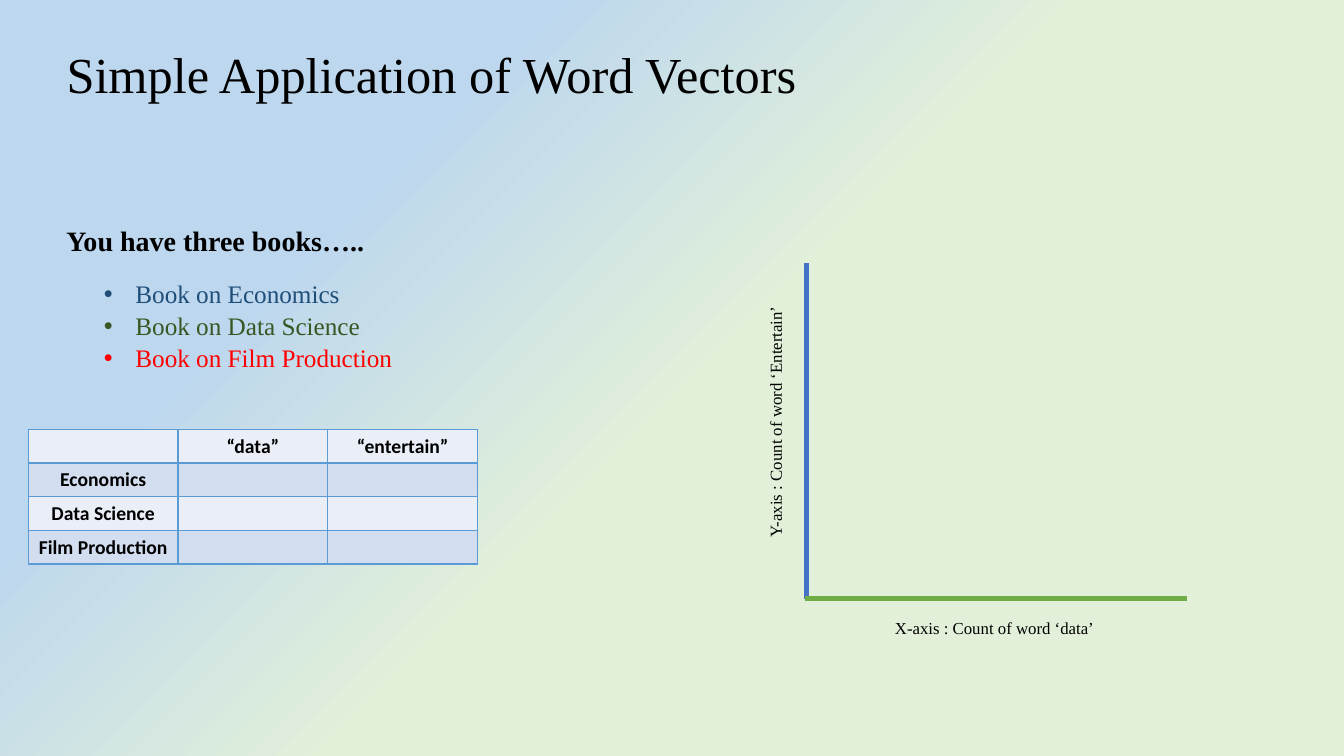
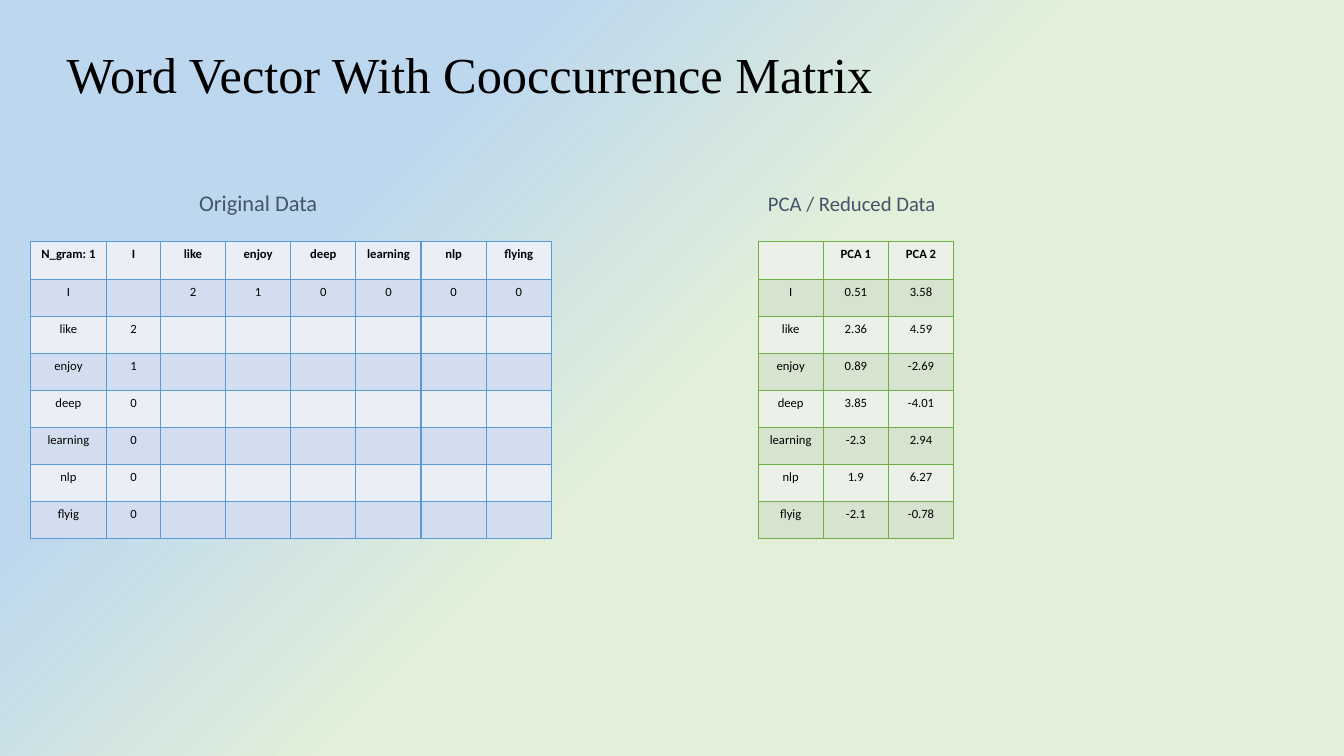
from lxml import etree
from pptx import Presentation, oxml
from pptx.dml.color import RGBColor
from pptx.enum import shapes, text
from pptx.oxml import ns
from pptx.util import Pt

# Shared look
COLORS = {
    "ink": "000000", "caption": "44546A",
    "economics": "1F4E79", "science": "385723", "film": "FF0000",
    "y_axis": "4472C4", "x_axis": "70AD47",
    "sky": "BDD7EE", "leaf": "E2F0D9",
}
BLUE = {"border": "5B9BD5", "bands": ("EAEFF7", "D2DEEF")}
GREEN = {"border": "70AD47", "bands": ("EBF1E9", "D5E3CF")}
BACKGROUND_STOPS = [(48, "leaf"), (74, "sky"), (83, "sky"), (100, "sky")]
SERIF, SANS = "Times New Roman", "Calibri"
TITLE_BOX = (40.3, 2.9, 828, 104.4)

# Content: books
BOOKS_TITLE = "Simple Application of Word Vectors"
BOOKS_LEAD = "You have three books….."
BOOKS = [
    ("Book on Economics", "economics"),
    ("Book on Data Science", "science"),
    ("Book on Film Production", "film"),
]
BOOK_COUNTS = [
    ["", "“data”", "“entertain”"],
    ["Economics", "", ""],
    ["Data Science", "", ""],
    ["Film Production", "", ""],
]
X_LABEL = "X-axis : Count of word ‘data’"
Y_LABEL = "Y-axis : Count of word ‘Entertain’"

# Content: cooccurrence matrix
MATRIX_TITLE = "Word Vector With Cooccurrence Matrix"
WORDS = ["I", "like", "enjoy", "deep", "learning", "nlp", "flyig"]
WORD_HEADS = WORDS[:-1] + ["flying"]
NEIGHBOURS = ["", "2", "1", "0", "0", "0", "0"]
PCA = [
    ("0.51", "3.58"), ("2.36", "4.59"), ("0.89", "-2.69"), ("3.85", "-4.01"),
    ("-2.3", "2.94"), ("1.9", "6.27"), ("-2.1", "-0.78"),
]
# Only the first word's row and column hold counts
COOCCURRENCE = [["N_gram: 1", *WORD_HEADS], ["I", *NEIGHBOURS]] + [
    [word, count] + [""] * (len(WORDS) - 1)
    for word, count in zip(WORDS[1:], NEIGHBOURS[1:])
]
REDUCED = [["", "PCA 1", "PCA 2"]] + [
    [word, *scores] for word, scores in zip(WORDS, PCA)
]


def rgb(name):
    return RGBColor.from_string(COLORS[name])


def place(box, left, top, width, height):
    box.left, box.top, box.width, box.height = map(Pt, (left, top, width, height))


def style(paragraph, size, face, color="ink", bold=False):
    for run in paragraph.runs:
        font = run.font
        font.size, font.name, font.bold = Pt(size), face, bold
        font.color.rgb = rgb(color)


def set_background(master):
    stops = "".join(
        f'<a:gs pos="{pos * 1000}"><a:srgbClr val="{COLORS[name]}"/></a:gs>'
        for pos, name in BACKGROUND_STOPS)
    page = master.element.find(ns.qn("p:cSld"))
    for old in page.findall(ns.qn("p:bg")):
        page.remove(old)
    page.insert(0, oxml.parse_xml(
        f'<p:bg {ns.nsdecls("p", "a")}><p:bgPr><a:gradFill rotWithShape="1">'
        f'<a:gsLst>{stops}</a:gsLst><a:path path="circle">'
        '<a:fillToRect l="100000" t="100000"/></a:path>'
        '<a:tileRect r="-100000" b="-100000"/></a:gradFill>'
        '<a:effectLst/></p:bgPr></p:bg>'))


def add_slide(deck, layout, heading):
    slide = deck.slides.add_slide(deck.slide_layouts[layout])
    title = slide.shapes.title
    place(title, *TITLE_BOX)
    frame = title.text_frame
    frame.text = heading
    frame.auto_size = text.MSO_AUTO_SIZE.NONE
    frame.vertical_anchor = text.MSO_ANCHOR.MIDDLE
    paragraph = frame.paragraphs[0]
    paragraph.alignment = text.PP_ALIGN.LEFT
    paragraph.line_spacing = 0.9
    style(paragraph, 36, SERIF)
    return slide


def add_label(slide, words, box, size, face=SERIF, color="ink", bold=False):
    label = slide.shapes.add_textbox(*map(Pt, box))
    label.text_frame.text = words
    style(label.text_frame.paragraphs[0], size, face, color, bold)
    return label


def add_caption(slide, words, box, size):
    frame = add_label(slide, words, box, size, SANS, "caption").text_frame
    frame.word_wrap = True
    frame.vertical_anchor = text.MSO_ANCHOR.BOTTOM
    frame.paragraphs[0].line_spacing = 0.9


def add_axis(slide, start, end, color):
    axis = slide.shapes.add_connector(
        shapes.MSO_CONNECTOR.STRAIGHT, *map(Pt, start + end))
    axis.line.color.rgb = rgb(color)
    axis.line.width = Pt(3.25)
    etree.SubElement(axis.element.spPr, ns.qn("a:effectLst"))


def add_borders(cell, color):
    props = cell._tc.get_or_add_tcPr()
    for index, side in enumerate(("lnL", "lnR", "lnT", "lnB")):
        props.insert(index, oxml.parse_xml(
            f'<a:{side} {ns.nsdecls("a")} w="12700"><a:solidFill>'
            f'<a:srgbClr val="{color}"/></a:solidFill></a:{side}>'))


def add_grid(slide, rows, left, top, widths, heights, size, palette, bold_rows=1):
    frame = slide.shapes.add_table(
        len(rows), len(widths), *map(Pt, (left, top, sum(widths), sum(heights))))
    grid = frame.table
    for column, width in zip(grid.columns, widths):
        column.width = Pt(width)
    for r, (values, height) in enumerate(zip(rows, heights)):
        grid.rows[r].height = Pt(height)
        for c, value in enumerate(values):
            cell = grid.cell(r, c)
            cell.margin_left = cell.margin_right = Pt(5)
            cell.fill.solid()
            cell.fill.fore_color.rgb = RGBColor.from_string(palette["bands"][r % 2])
            add_borders(cell, palette["border"])
            paragraph = cell.text_frame.paragraphs[0]
            paragraph.alignment = text.PP_ALIGN.CENTER
            if value:
                paragraph.text = value
                style(paragraph, size, SANS, bold=r < bold_rows)
            else:  # keeps an empty row from growing
                etree.SubElement(paragraph._p, ns.qn("a:endParaRPr"), sz=str(size * 100))


def add_books(body):
    place(body, 67, 194.4, 226.8, 72.7)
    frame = body.text_frame
    frame.auto_size = text.MSO_AUTO_SIZE.NONE
    frame.text = "\n".join(book for book, _ in BOOKS)
    for paragraph, (_, color) in zip(frame.paragraphs, BOOKS):
        props = paragraph._p.get_or_add_pPr()
        props.set("marL", str(Pt(22.5)))
        props.set("indent", str(Pt(-22.5)))
        etree.SubElement(props, ns.qn("a:buFont"), typeface="Arial")
        etree.SubElement(props, ns.qn("a:buChar"), char="•")
        paragraph.space_before = Pt(0)
        paragraph.line_spacing = 1.05
        style(paragraph, 18, SERIF, color)


def build_books(deck):
    slide = add_slide(deck, 1, BOOKS_TITLE)
    add_books(slide.placeholders[1])
    add_label(slide, BOOKS_LEAD, (40.3, 156.2, 229, 31.7), 20, bold=True)
    add_grid(slide, BOOK_COUNTS, 20.2, 306.7, [107] * 3, [24] * 4, 14, BLUE,
             bold_rows=len(BOOK_COUNTS))
    # Empty plot
    add_axis(slide, (576, 188), (576, 427.7), "y_axis")
    add_axis(slide, (848.2, 427.7), (575.3, 427.7), "x_axis")
    add_label(slide, X_LABEL, (632.2, 437.8, 158.4, 21.6), 12)
    add_label(slide, Y_LABEL, (463, 289.4, 181.4, 21.6), 12).rotation = 270


def build_matrix(deck):
    slide = add_slide(deck, 5, MATRIX_TITLE)
    top, heights = 172.5, [27] + [26.5] * len(WORDS)
    word_width = 46.55
    add_grid(slide, COOCCURRENCE, 21.6, top,
             [54.5, 38.5] + [word_width] * 6, heights, 9, BLUE)
    add_grid(slide, REDUCED, 541.5, top, [word_width] * 3, heights, 9, GREEN)
    add_caption(slide, "Original Data", (135.2, 121, 103, 36.7), 16)
    add_caption(slide, "PCA / Reduced Data", (541.5, 121, 139.7, 36.7), 14.8)


def main():
    deck = Presentation()
    deck.slide_width, deck.slide_height = Pt(960), Pt(540)
    set_background(deck.slide_master)
    build_books(deck)
    build_matrix(deck)
    deck.save("out.pptx")


if __name__ == "__main__":
    main()
